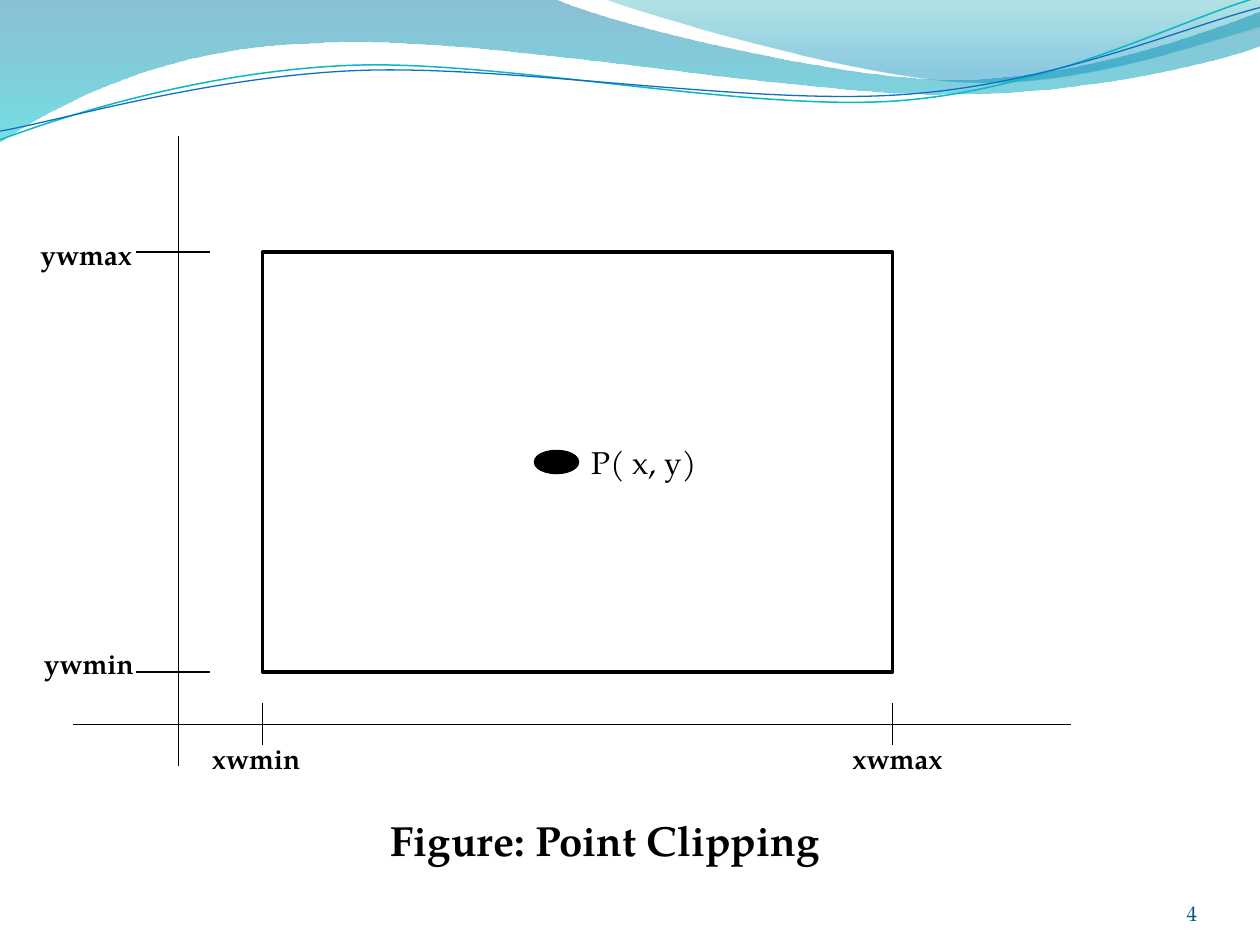
import pptx
import pptx.util
import pptx.dml.color
import pptx.enum.shapes
import pptx.enum.text
import pptx.oxml.ns
import lxml.etree

Pt = pptx.util.Pt
qn = pptx.oxml.ns.qn
ALIGN = pptx.enum.text.PP_ALIGN
ANCHOR = pptx.enum.text.MSO_ANCHOR
AUTO = pptx.enum.text.MSO_AUTO_SIZE
SHAPE = pptx.enum.shapes.MSO_SHAPE

THEME = {
    "font": "TeX Gyre Pagella",
    "ink": "000000", "paper": "FFFFFF", "number": "045D75",
    "caption_size": 24, "point_size": 18, "label_size": 16, "number_size": 12,
    "thin": 0.75, "thick": 2,
}

# Each wave: start point, then cubic segments (3 points) or straight ones (1 point).
BANDS = [
    {"start": (0, 0), "stops": [(0, "0074A1", 45), (1, "00C6CF", 55)],
     "segments": [[(316.8, -0.7)],
                  [(342.7, 12.2), (478, 45.4), (545.8, 45.4)],
                  [(614.2, 45.4), (689.8, 18.7), (720, 6.5)],
                  [(720.7, 25.9)],
                  [(707.8, 31.7), (626.4, 54.7), (537.1, 54)],
                  [(447.8, 54), (275, 20.2), (185, 24.5)],
                  [(92.9, 25.9), (33.1, 59.8), (-0.7, 81.4)]]},
    {"start": (344.9, -0.7), "stops": [(0, "00A1A9", 30), (0.8, "008BBF", 45)],
     "segments": [[(366.5, 7.9), (491, 44.6), (553.7, 46.8)],
                  [(616.3, 49.7), (691.9, 23), (720, 15.1)],
                  [(720, 0)]]},
]
STRANDS = [
    {"start": (0, 79.9), "color": "0AB8BF", "width": 0.85,
     "segments": [[(34.6, 67), (113.8, 41), (199.4, 37.4)],
                  [(284.4, 33.8), (427, 64.1), (513.4, 57.6)],
                  [(599.8, 51.1), (675.4, 10.8), (718.6, -1.4)]]},
    {"start": (0, 74.9), "color": "0F6FC6", "width": 0.75,
     "segments": [[(33.8, 69.1), (118.1, 43.9), (203.8, 40.3)],
                  [(290.2, 36.7), (429.8, 60.5), (516.2, 54)],
                  [(601.9, 48.2), (677.5, 15.1), (720, 4.3)]]},
]

WINDOW = {"left": 150, "top": 144, "width": 360, "height": 240}
RIGHT = WINDOW["left"] + WINDOW["width"]
BOTTOM = WINDOW["top"] + WINDOW["height"]
AXES = [(102, 78, 102, 438), (42, 414, 612, 414)]
TICKS = ([(78, y, 120, y) for y in (WINDOW["top"], BOTTOM)]
         + [(x, 402, x, 426) for x in (WINDOW["left"], RIGHT)])
POINT = {"text": "P( x, y)", "dot": (306, 258, 24, 12), "indent": 188}
LABELS = [("ywmax", (16, 132, 68, 26.6)), ("ywmin", (18, 366, 66, 26.6)),
          ("xwmin", (114, 420, 66, 26.6)), ("xwmax", (480, 420, 72, 26.6))]
CAPTION = ("Figure: Point Clipping", (216, 462, 266.4, 36.4))
NUMBER = ("4", (624, 500.4, 60, 28.8))


def rgb(value):
    return pptx.dml.color.RGBColor.from_string(value)


def apply(target, settings):
    for name, value in settings.items():
        setattr(target, name, value)


def place(shape, box):
    apply(shape, dict(zip(("left", "top", "width", "height"), map(Pt, box))))


def write(shape, text, size, color="ink", bold=False, align=ALIGN.LEFT, **frame_format):
    frame = shape.text_frame
    frame.text = text
    apply(frame, {"word_wrap": True, "vertical_anchor": ANCHOR.TOP, **frame_format})
    paragraph = frame.paragraphs[0]
    paragraph.alignment = align
    font = paragraph.runs[0].font
    apply(font, {"name": THEME["font"], "size": Pt(THEME[size]), "bold": bold})
    font.color.rgb = rgb(THEME[color])


def stroke(line, color, width):
    line.color.rgb = rgb(color)
    line.width = Pt(width)


def add_wave(shapes, wave, close):
    """Add a freeform through all points, then bend its cubic segments."""
    builder = shapes.build_freeform(*map(Pt, wave["start"]))
    points = [(Pt(x), Pt(y)) for segment in wave["segments"] for x, y in segment]
    builder.add_line_segments(points, close=close)
    shape = builder.convert_to_shape()
    shape.shadow.inherit = False

    sides = iter(list(shape.element.iter(qn("a:lnTo"))))
    for segment in wave["segments"]:
        first, *others = [next(sides) for _ in segment]
        if others:
            first.tag = qn("a:cubicBezTo")
        for side in others:
            first.append(side[0])
            side.getparent().remove(side)
    return shape


def add_band(shapes, band):
    shape = add_wave(shapes, band, close=True)
    shape.line.fill.background()
    shape.fill.gradient()
    shape.fill.gradient_angle = 270
    for stop, (position, color, _) in zip(shape.fill.gradient_stops, band["stops"]):
        stop.position = position
        stop.color.rgb = rgb(color)
    tints = shape.element.spPr.iter(qn("a:srgbClr"))
    for tint, (_, _, opacity) in zip(tints, band["stops"]):
        lxml.etree.SubElement(tint, qn("a:alpha")).set("val", str(opacity * 1000))


def add_strand(shapes, strand):
    shape = add_wave(shapes, strand, close=False)
    shape.fill.background()
    stroke(shape.line, strand["color"], strand["width"])


def add_line(shapes, ends):
    line = shapes.add_connector(pptx.enum.shapes.MSO_CONNECTOR.STRAIGHT, *map(Pt, ends))
    stroke(line.line, THEME["ink"], THEME["thin"])
    lxml.etree.SubElement(line.element.spPr, qn("a:effectLst"))


def add_outlined(shapes, kind, box, fill):
    shape = shapes.add_shape(kind, *map(Pt, box))
    shape.shadow.inherit = False
    shape.fill.solid()
    shape.fill.fore_color.rgb = rgb(THEME[fill])
    stroke(shape.line, THEME["ink"], THEME["thick"])
    return shape


def main():
    deck = pptx.Presentation()
    apply(deck, {"slide_width": Pt(720), "slide_height": Pt(540)})
    slide = deck.slides.add_slide(deck.slide_layouts[5])
    shapes = slide.shapes

    for band in BANDS:
        add_band(shapes, band)
    for strand in STRANDS:
        add_strand(shapes, strand)

    for axis in AXES:
        add_line(shapes, axis)
    window = add_outlined(shapes, SHAPE.RECTANGLE, WINDOW.values(), "paper")
    write(window, POINT["text"], "point_size", vertical_anchor=ANCHOR.MIDDLE,
          margin_left=Pt(POINT["indent"]))
    add_outlined(shapes, SHAPE.OVAL, POINT["dot"], "ink")
    for tick in TICKS:
        add_line(shapes, tick)

    for text, box in LABELS:
        label = shapes.add_textbox(*map(Pt, box))
        write(label, text, "label_size", bold=True, auto_size=AUTO.SHAPE_TO_FIT_TEXT)

    text, box = CAPTION
    place(shapes.title, box)
    write(shapes.title, text, "caption_size", bold=True, word_wrap=False,
          auto_size=AUTO.SHAPE_TO_FIT_TEXT)

    text, box = NUMBER
    no_margins = {f"margin_{side}": 0 for side in ("left", "top", "right", "bottom")}
    write(shapes.add_textbox(*map(Pt, box)), text, "number_size", "number",
          align=ALIGN.RIGHT, vertical_anchor=ANCHOR.BOTTOM, **no_margins)

    deck.save("out.pptx")


if __name__ == "__main__":
    main()
